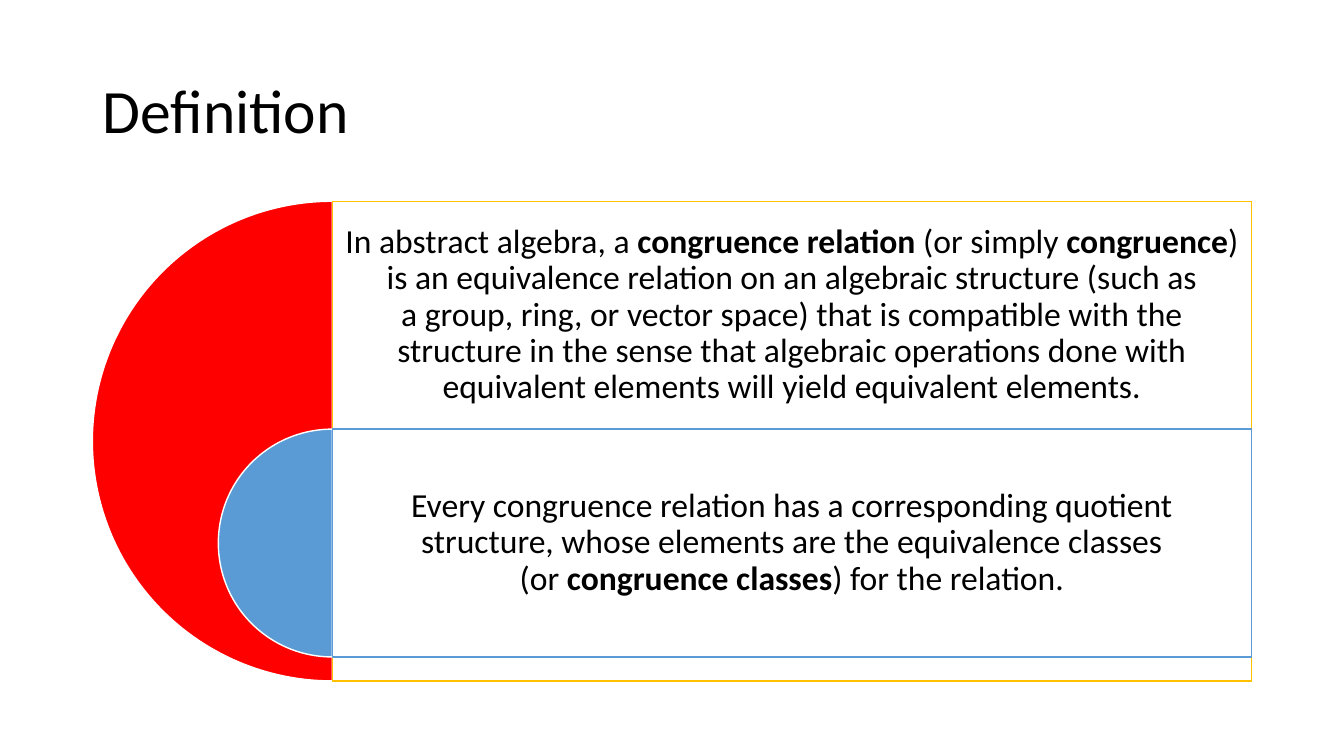
from lxml import etree
from pptx import Presentation
from pptx import util as u
from pptx.dml.color import RGBColor
from pptx.enum import shapes, text
from pptx.oxml.ns import qn

WHITE = RGBColor(0xFF, 0xFF, 0xFF)
BLACK = RGBColor(0, 0, 0)
RED = RGBColor(0xFF, 0, 0)
GOLD = RGBColor(0xFF, 0xC0, 0)
BLUE = RGBColor(0x5B, 0x9B, 0xD5)

# Lengths in points
SLIDE_W, SLIDE_H = 960, 540
MARGIN = 66
CONTENT_W = SLIDE_W - 2 * MARGIN
TITLE_BOX = (MARGIN, 28.75, CONTENT_W, 104.38)
TARGET_BOX = (MARGIN, 143.75, CONTENT_W, 342.63)
ROW_SHARE = 0.475  # height of one statement as a share of the diagram
HARD_SPACE = chr(160)

# Bold passages stand between double asterisks; a tilde is a non-breaking space.
STATEMENTS = [
    "In~abstract algebra, a~**congruence relation**~(or simply~**congruence**) "
    "is an~equivalence relation on an~algebraic structure (such as a~group,~ring, "
    "or~vector space) that is compatible with the structure in the sense that~algebraic "
    "operations done with equivalent elements will yield equivalent elements.",
    "Every congruence relation has a corresponding~quotient structure, whose elements "
    "are the~equivalence classes (or~**congruence classes**) for the relation.",
]
LAYERS = [(RED, GOLD), (BLUE, BLUE)]


def points(*lengths):
    return [u.Pt(length) for length in lengths]


def write(frame, wording, size, align, inset=(7.2, 3.6)):
    frame.word_wrap = True
    frame.auto_size = text.MSO_AUTO_SIZE.NONE
    frame.vertical_anchor = text.MSO_ANCHOR.MIDDLE
    frame.margin_left = frame.margin_right = u.Pt(inset[0])
    frame.margin_top = frame.margin_bottom = u.Pt(inset[1])
    paragraph = frame.paragraphs[0]
    paragraph.alignment = align
    paragraph.line_spacing = 0.9
    for index, passage in enumerate(wording.split("**")):
        run = paragraph.add_run()
        run.text = passage.replace("~", HARD_SPACE)
        run.font.name = "Calibri"
        run.font.size = u.Pt(size)
        run.font.bold = index % 2 == 1
        run.font.color.rgb = BLACK


def add_outlined(slide, preset, box, fill, line, opacity=None):
    shape = slide.shapes.add_shape(preset, *points(*box))
    shape.shadow.inherit = False
    shape.fill.solid()
    shape.fill.fore_color.rgb = fill
    shape.line.color.rgb = line
    shape.line.width = u.Pt(1)
    if opacity is not None:
        color = shape.fill._xPr.find(qn("a:solidFill"))[0]
        etree.SubElement(color, qn("a:alpha"), val=str(opacity * 1000))
    return shape


def add_title(slide, box):
    title = slide.shapes.title
    title.left, title.top, title.width, title.height = points(*box)
    write(title.text_frame, "Definition", 44, text.PP_ALIGN.LEFT)


def add_target(slide, box):
    """Nested half discs, each with a panel and its statement on the right."""
    left, top, width, height = box
    axis = left + height / 2
    panel_w = width - height / 2
    row_h = height * ROW_SHARE
    for row, (statement, (disc, outline)) in enumerate(zip(STATEMENTS, LAYERS)):
        row_top = top + row * row_h
        size = row_h if row else height
        half_disc = add_outlined(slide, shapes.MSO_SHAPE.PIE,
                                 (axis - size / 2, row_top, size, size), disc, WHITE)
        half_disc.adjustments[0] = 54
        half_disc.adjustments[1] = 162
        add_outlined(slide, shapes.MSO_SHAPE.RECTANGLE,
                     (axis, row_top, panel_w, size), WHITE, outline, opacity=90)
        label = slide.shapes.add_textbox(*points(axis, row_top, panel_w, row_h))
        write(label.text_frame, statement, 24, text.PP_ALIGN.CENTER, inset=(7.2, 7.2))


def main():
    deck = Presentation()
    deck.slide_width, deck.slide_height = points(SLIDE_W, SLIDE_H)
    slide = deck.slides.add_slide(deck.slide_layouts[5])
    add_title(slide, TITLE_BOX)
    add_target(slide, TARGET_BOX)
    deck.save("out.pptx")


if __name__ == "__main__":
    main()
